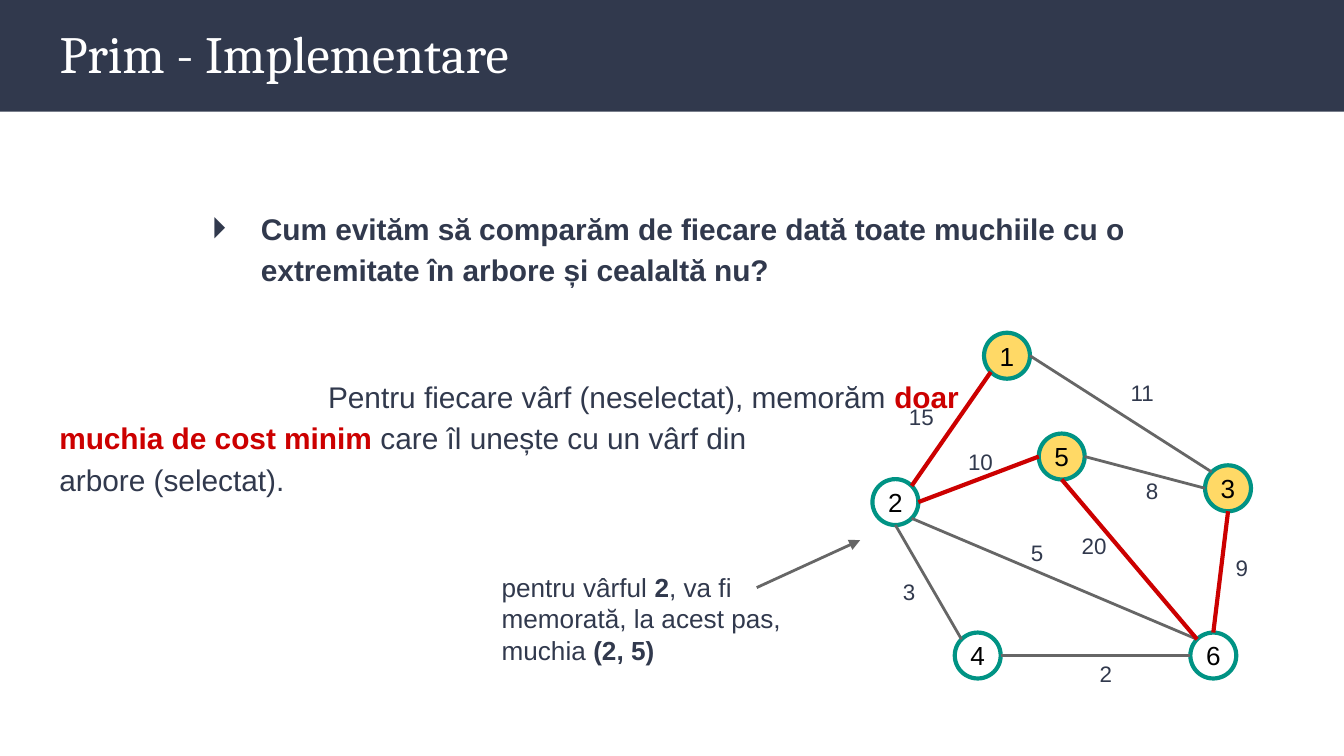
import math

import pptx
import pptx.dml.color
import pptx.enum.shapes
import pptx.enum.text
import pptx.oxml.ns
import pptx.util
from lxml import etree

Pt = pptx.util.Pt
qn = pptx.oxml.ns.qn
ANCHOR = pptx.enum.text.MSO_ANCHOR
ALIGN = pptx.enum.text.PP_ALIGN
SHAPE = pptx.enum.shapes.MSO_SHAPE

NAVY, RED, GRAY, TEAL, YELLOW = "31394D", "CC0000", "666666", "009384", "FFD966"
DIRECTIONS = {"E": 0, "SE": 45, "S": 90, "SW": 135, "W": 180, "NW": 225, "N": 270, "NE": 315}
RADIUS = 12.3


def rgb(value):
    return pptx.dml.color.RGBColor.from_string(value)


def apply(target, values):
    for name, value in values.items():
        setattr(target, name, value)


class SlideBuilder:
    font = "Arial"

    def __init__(self, prs):
        self.s = prs.slides.add_slide(prs.slide_layouts[5])

    def frame(self, sp, inset=7.2, anchor=ANCHOR.TOP):
        tf = sp.text_frame
        apply(tf, {"word_wrap": True, "vertical_anchor": anchor})
        apply(tf, {f"margin_{side}": Pt(inset) for side in ("left", "top", "right", "bottom")})
        return tf

    def run(self, p, text, size, color=NAVY, bold=False, font=None):
        r = p.add_run()
        r.text = text
        apply(r.font, {"name": font or self.font, "size": Pt(size), "bold": bold})
        r.font.color.rgb = rgb(color)

    def line_break(self, p, size):
        p.add_line_break()
        br = p._p.findall(qn("a:br"))[-1]
        etree.SubElement(br, qn("a:rPr"), sz=str(size * 100))

    def bullet(self, p, char, left, hanging):
        pPr = p._p.get_or_add_pPr()
        pPr.set("marL", str(Pt(left)))
        pPr.set("indent", str(-Pt(hanging)))
        color = etree.SubElement(pPr, qn("a:buClr"))
        etree.SubElement(color, qn("a:srgbClr"), val=NAVY)
        etree.SubElement(pPr, qn("a:buFont"), typeface=self.font)
        etree.SubElement(pPr, qn("a:buChar"), char=char)

    def header(self, width, height):
        sp = self.s.shapes.add_shape(SHAPE.RECTANGLE, 0, 0, Pt(width), Pt(height))
        sp.shadow.inherit = False
        sp.fill.solid()
        sp.fill.fore_color.rgb = rgb(NAVY)
        sp.line.fill.background()
        self.s.shapes._spTree.insert(2, sp._element)

    def title(self, text, left, top, width, height):
        sp = self.s.shapes.title
        apply(sp, {"left": Pt(left), "top": Pt(top), "width": Pt(width), "height": Pt(height)})
        p = self.frame(sp, anchor=ANCHOR.MIDDLE).paragraphs[0]
        p.alignment = ALIGN.LEFT
        self.run(p, text, 28, "FFFFFF", font="Cambria")

    def text(self, left, top, width, height):
        sp = self.s.shapes.add_textbox(Pt(left), Pt(top), Pt(width), Pt(height))
        return self.frame(sp)

    def node(self, name, x, y, fill):
        sp = self.s.shapes.add_shape(
            SHAPE.OVAL, Pt(x - RADIUS), Pt(y - RADIUS), Pt(2 * RADIUS), Pt(2 * RADIUS))
        sp.shadow.inherit = False
        if fill:
            sp.fill.solid()
            sp.fill.fore_color.rgb = rgb(fill)
        else:
            sp.fill.background()
        sp.line.color.rgb = rgb(TEAL)
        sp.line.width = Pt(2.25)
        p = self.frame(sp, 1.4, ANCHOR.MIDDLE).paragraphs[0]
        p.alignment = ALIGN.CENTER
        self.run(p, name, 14, "000000")

    def line(self, start, end, color=GRAY, width=1.5, arrow=False):
        cx = self.s.shapes.add_connector(
            pptx.enum.shapes.MSO_CONNECTOR.STRAIGHT, *(Pt(v) for v in (*start, *end)))
        cx.line.color.rgb = rgb(color)
        cx.line.width = Pt(width)
        if arrow:
            etree.SubElement(cx.line._get_or_add_ln(), qn("a:tailEnd"), type="triangle")
        etree.SubElement(cx._element.spPr, qn("a:effectLst"))


def rim(center, direction):
    angle = math.radians(DIRECTIONS[direction])
    return center[0] + RADIUS * math.cos(angle), center[1] + RADIUS * math.sin(angle)


def main():
    prs = pptx.Presentation()
    apply(prs, {"slide_width": Pt(720), "slide_height": Pt(405)})
    b = SlideBuilder(prs)
    b.header(720, 59.8)
    b.title("Prim - Implementare", 24.7, 3.8, 671, 49)

    tf = b.text(24.7, 102.8, 671, 264)
    p = tf.paragraphs[0]
    b.bullet(p, "⏵", 108, 26.6)
    p.line_spacing = 1.15
    b.run(p, "Cum evităm să comparăm de fiecare dată toate muchiile cu o "
             "extremitate în arbore și cealaltă nu?", 16, bold=True)
    p = tf.add_paragraph()
    apply(p, {"line_spacing": 1.15, "space_before": Pt(46)})
    p._p.get_or_add_pPr().set("indent", str(Pt(144)))
    b.run(p, "Pentru fiecare vârf (neselectat), memorăm ", 16)
    b.run(p, "doar ", 16, RED, True)
    b.line_break(p, 16)
    b.run(p, "muchia de cost minim ", 16, RED, True)
    b.run(p, "care îl unește cu un vârf din ", 16)
    b.line_break(p, 16)
    b.run(p, "arbore (selectat).", 16)

    nodes = {
        "1": (539.5, 190.6), "2": (479.7, 269), "5": (568.8, 244.6),
        "6": (650, 351.2), "4": (523.8, 351.2), "3": (657.9, 261.6),
    }
    for name, (x, y) in nodes.items():
        b.node(name, x, y, YELLOW if name in "135" else None)

    edges = [
        ("1", "SW", "2", "NE", "15", 479.8, 208.8, True),
        ("1", "E", "3", "NW", "11", 598.6, 195.8, False),
        ("2", "E", "5", "W", "10", 511.5, 232.8, True),
        ("5", "E", "3", "W", "8", 606.8, 248.2, False),
        ("2", "S", "4", "NW", "3", 476.6, 302.4, False),
        ("2", "SE", "6", "NW", "5", 545.2, 281.5, False),
        ("4", "E", "6", "W", "2", 582, 346.3, False),
        ("5", "S", "6", "NW", "20", 572.4, 277.9, True),
        ("3", "S", "6", "N", "9", 654.8, 289.6, True),
    ]
    for a, a_side, z, z_side, cost, x, y, selected in edges:
        style = (RED, 2.25) if selected else (GRAY, 1.5)
        b.line(rim(nodes[a], a_side), rim(nodes[z], z_side), *style)
        b.run(b.text(x, y, 29.5, 28.8).paragraphs[0], cost, 12)

    p = b.text(261.6, 298.8, 190, 65.5).paragraphs[0]
    for text, bold in [("pentru vârful ", False), ("2", True),
                       (", va fi memorată, la acest pas, muchia ", False), ("(2, 5)", True)]:
        b.run(p, text, 14, bold=bold)
    b.line((405.4, 314.8), (460.8, 289.4), arrow=True)
    prs.save("out.pptx")


if __name__ == "__main__":
    main()
